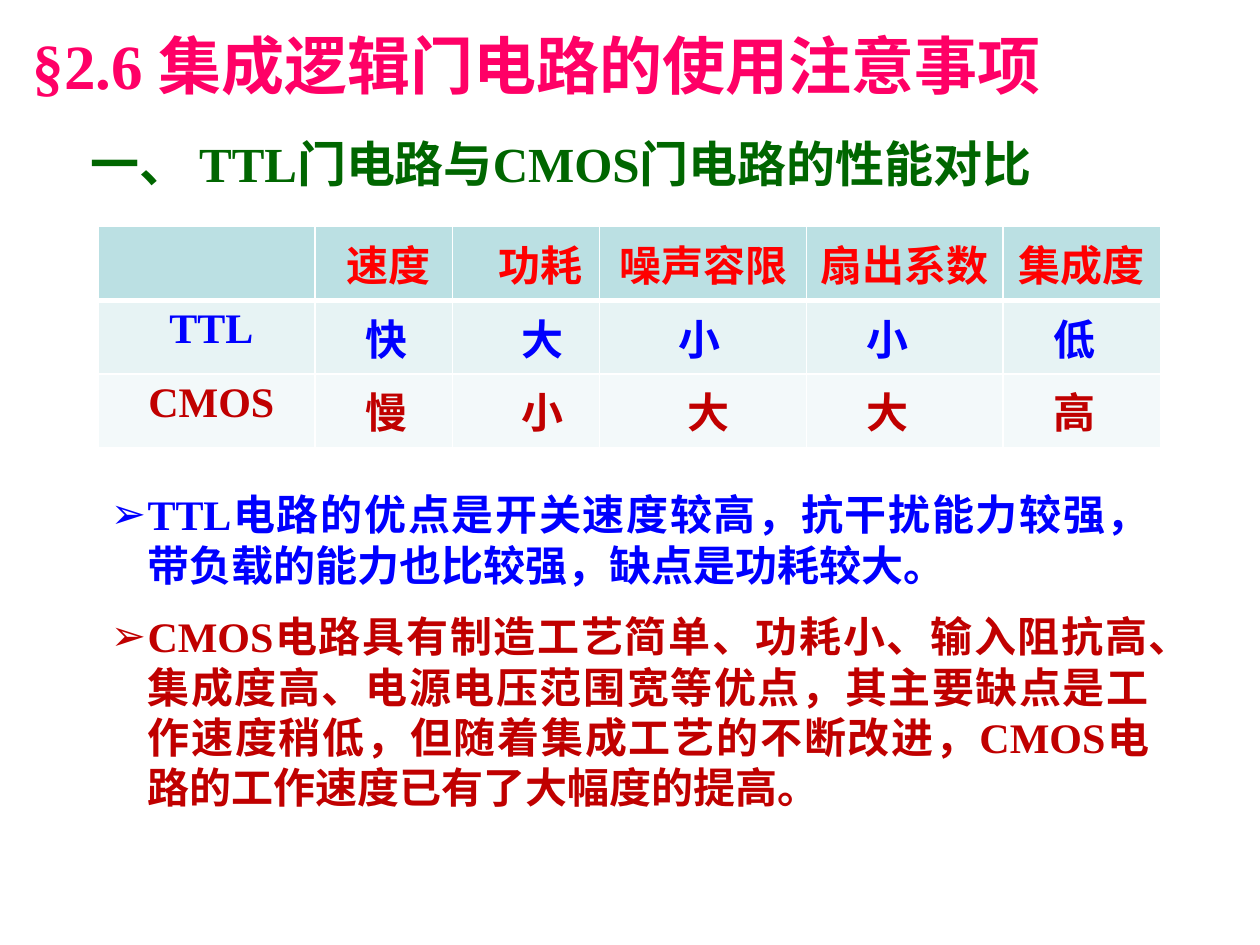
"""Build the slide that compares TTL and CMOS gate circuits."""
from dataclasses import dataclass

from lxml.etree import SubElement
from pptx import Presentation
from pptx.dml.color import RGBColor
from pptx.enum.text import MSO_ANCHOR, MSO_AUTO_SIZE, PP_ALIGN
from pptx.oxml.ns import qn
from pptx.util import Cm, Pt


@dataclass(frozen=True)
class Theme:
    """Font, type sizes and colours of the slide."""
    font: str = "Times New Roman"
    title_size: int = 36
    heading_size: int = 28
    text_size: int = 24
    title: str = "FF0066"
    heading: str = "006600"
    header: str = "FF0000"
    ttl: str = "0000FF"
    cmos: str = "C00000"
    header_fill: str = "BBE0E3"
    ttl_fill: str = "E7F3F4"
    cmos_fill: str = "F3F9FA"
    border: str = "FFFFFF"


@dataclass(frozen=True)
class Area:
    """Position and size in centimetres."""
    left: float
    top: float
    width: float
    height: float


@dataclass(frozen=True)
class TableRow:
    """Labels of one row with their indent steps and look."""
    labels: tuple[str, ...]
    steps: tuple[int, ...]
    color: str
    fill: str
    header: bool = False


@dataclass(frozen=True)
class Point:
    """One bulleted statement."""
    text: str
    color: str


THEME = Theme()
TITLE_AREA = Area(0.41, 0.41, 22.81, 1.8)
HEADING_AREA = Area(1.57, 2.59, 21.64, 1.4)
TABLE_AREA = Area(1.98, 4.57, 21.42, 3.81)
POINTS_AREA = Area(1.98, 9.73, 21.44, 6.93)
COLUMN_WIDTHS = (4.37, 2.77, 2.97, 4.17, 3.96, 3.18)
INDENT_STEP = 0.19
BULLET_INDENT = 0.74

ROWS = (
    TableRow(("", "速度", "功耗", "噪声容限", "扇出系数", "集成度"),
             (0, 1, 3, 0, 0, 0), THEME.header, THEME.header_fill, True),
    TableRow(("TTL", "快", "大", "小", "小", "低"),
             (1, 4, 6, 7, 5, 4), THEME.ttl, THEME.ttl_fill),
    TableRow(("CMOS", "慢", "小", "大", "大", "高"),
             (1, 4, 6, 8, 5, 4), THEME.cmos, THEME.cmos_fill),
)
POINTS = (
    Point("TTL电路的优点是开关速度较高，抗干扰能力较强，带负载的能力也比较强，"
          "缺点是功耗较大。", THEME.ttl),
    Point("CMOS电路具有制造工艺简单、功耗小、输入阻抗高、集成度高、电源电压范围宽等优点，"
          "其主要缺点是工作速度稍低，但随着集成工艺的不断改进，"
          "CMOS电路的工作速度已有了大幅度的提高。", THEME.cmos),
)


def place(shape, area: Area) -> None:
    """Move and size a shape."""
    shape.left, shape.top = Cm(area.left), Cm(area.top)
    shape.width, shape.height = Cm(area.width), Cm(area.height)


def add_span(para, text: str, size: int, color: str) -> None:
    """Add one bold run in the slide font."""
    span = para.add_run()
    span.text = text
    span.font.name = THEME.font
    span.font.size = Pt(size)
    span.font.bold = True
    span.font.color.rgb = RGBColor.from_string(color)


def write_line(box, area: Area, text: str, size: int, color: str, anchor) -> None:
    """Place a box and fill it with one left-aligned line."""
    place(box, area)
    frame = box.text_frame
    frame.word_wrap = True
    frame.auto_size = MSO_AUTO_SIZE.NONE
    frame.vertical_anchor = anchor
    para = frame.paragraphs[0]
    para.alignment = PP_ALIGN.LEFT
    add_span(para, text, size, color)


def add_border(cell, side: str, width: float) -> None:
    """Draw one side of a table cell."""
    line = SubElement(cell._tc.get_or_add_tcPr(), qn(f"a:ln{side}"), w=str(Pt(width)))
    fill = SubElement(line, qn("a:solidFill"))
    SubElement(fill, qn("a:srgbClr"), val=THEME.border)


def fill_cell(cell, row: TableRow, column: int, below_header: bool) -> None:
    """Format one table cell and write its label."""
    widths = {"L": 1, "R": 1, "T": 3 if below_header else 1, "B": 3 if row.header else 1}
    for side, width in widths.items():
        add_border(cell, side, width)
    cell.fill.solid()
    cell.fill.fore_color.rgb = RGBColor.from_string(row.fill)
    if not row.labels[column]:
        return
    para = cell.text_frame.paragraphs[0]
    centred = row.header or column == 0
    para.alignment = PP_ALIGN.CENTER if centred else PP_ALIGN.LEFT
    para._p.get_or_add_pPr().set("marL", str(Cm(INDENT_STEP * row.steps[column])))
    add_span(para, row.labels[column], THEME.text_size, row.color)


def add_comparison(slide) -> None:
    """Add the table of gate properties."""
    area = TABLE_AREA
    table = slide.shapes.add_table(
        len(ROWS), len(COLUMN_WIDTHS),
        Cm(area.left), Cm(area.top), Cm(area.width), Cm(area.height)).table
    for column, width in zip(table.columns, COLUMN_WIDTHS):
        column.width = Cm(width)
    for index, row in enumerate(ROWS):
        for column in range(len(COLUMN_WIDTHS)):
            fill_cell(table.cell(index, column), row, column, index == 1)


def add_points(box) -> None:
    """Write the bulleted statements into the body placeholder."""
    place(box, POINTS_AREA)
    frame = box.text_frame
    frame.word_wrap = True
    frame.auto_size = MSO_AUTO_SIZE.NONE
    for index, point in enumerate(POINTS):
        para = frame.add_paragraph() if index else frame.paragraphs[0]
        para.alignment = PP_ALIGN.JUSTIFY
        para.space_before = Pt(12 if index else 0)
        properties = para._p.get_or_add_pPr()
        properties.set("marL", str(Cm(BULLET_INDENT)))
        properties.set("indent", str(-Cm(BULLET_INDENT)))
        SubElement(properties, qn("a:buChar"), char="➢")
        add_span(para, point.text, THEME.text_size, point.color)


def main() -> None:
    """Build and save the deck."""
    deck = Presentation()
    deck.slide_width, deck.slide_height = Cm(25.4), Cm(19.05)
    page = deck.slides.add_slide(deck.slide_layouts[1])
    write_line(page.shapes.title, TITLE_AREA, "§2.6 集成逻辑门电路的使用注意事项",
               THEME.title_size, THEME.title, MSO_ANCHOR.TOP)
    heading = page.shapes.add_textbox(0, 0, 0, 0)
    write_line(heading, HEADING_AREA, "一、 TTL门电路与CMOS门电路的性能对比",
               THEME.heading_size, THEME.heading, MSO_ANCHOR.MIDDLE)
    add_comparison(page)
    add_points(page.placeholders[1])
    deck.save("out.pptx")


if __name__ == "__main__":
    main()
